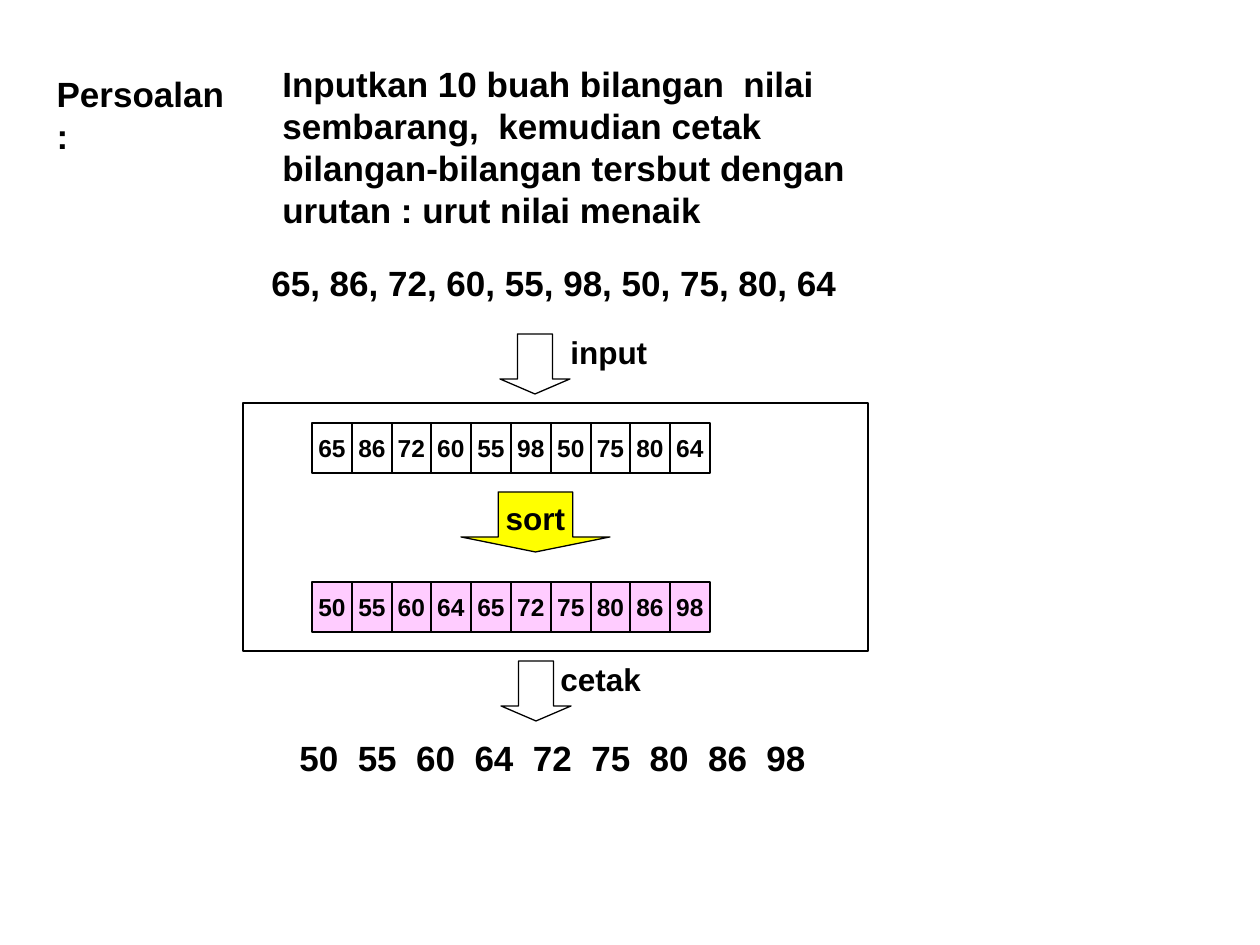
"""Build the slide that explains sorting ten numbers in ascending order."""
from dataclasses import dataclass
from typing import Optional, Sequence

from pptx import Presentation
from pptx import util as u
from pptx.dml.color import RGBColor
from pptx.enum import shapes, text

EMU_PER_PX = 914400 / 126
BLACK = RGBColor(0x00, 0x00, 0x00)
YELLOW = RGBColor(0xFF, 0xFF, 0x00)
PINK = RGBColor(0xFF, 0xCC, 0xFF)
FONT = "Arial"
RECTANGLE = shapes.MSO_SHAPE.RECTANGLE
DOWN_ARROW = shapes.MSO_SHAPE.DOWN_ARROW

NUMBERS = [65, 86, 72, 60, 55, 98, 50, 75, 80, 64]
PRINTED = "50  55  60  64  72  75  80  86  98"
PROBLEM = ("Inputkan 10 buah bilangan  nilai sembarang,  kemudian cetak "
           "bilangan-bilangan tersbut dengan urutan : urut nilai menaik")
ROW_LEFT, ROW_WIDTH, CELL_HEIGHT = 312, 398, 50


@dataclass(frozen=True)
class Box:
    left: int
    top: int
    width: int
    height: int


@dataclass(frozen=True)
class Label:
    box: Box
    wording: str
    size: int = 20
    wrap: bool = False


@dataclass(frozen=True)
class Block:
    box: Box
    kind: shapes.MSO_SHAPE
    wording: str = ""
    size: int = 14
    fill: Optional[RGBColor] = None


def px(length: float) -> u.Emu:
    return u.Emu(round(length * EMU_PER_PX))


def place(box: Box) -> list[u.Emu]:
    return [px(side) for side in (box.left, box.top, box.width, box.height)]


def write(frame, wording: str, size: int, align, anchor, wrap: bool = False) -> None:
    frame.text = wording
    frame.word_wrap = wrap
    frame.vertical_anchor = anchor
    paragraph = frame.paragraphs[0]
    paragraph.alignment = align
    font = paragraph.runs[0].font
    font.name, font.size, font.bold = FONT, u.Pt(size), True
    font.color.rgb = BLACK


def fill_label(holder, label: Label) -> None:
    holder.left, holder.top, holder.width, holder.height = place(label.box)
    write(holder.text_frame, label.wording, label.size,
          text.PP_ALIGN.LEFT, text.MSO_ANCHOR.TOP, label.wrap)
    holder.text_frame.auto_size = text.MSO_AUTO_SIZE.SHAPE_TO_FIT_TEXT


def draw_label(slide, label: Label) -> None:
    fill_label(slide.shapes.add_textbox(*place(label.box)), label)


def draw_block(slide, block: Block) -> None:
    outline = slide.shapes.add_shape(block.kind, *place(block.box))
    outline.shadow.inherit = False
    outline.line.color.rgb = BLACK
    outline.line.width = u.Pt(0.75)
    if block.kind == DOWN_ARROW:
        outline.adjustments[0], outline.adjustments[1] = 0.5, 0.25
    if block.fill is None:
        outline.fill.background()
    else:
        outline.fill.solid()
        outline.fill.fore_color.rgb = block.fill
    if block.wording:
        write(outline.text_frame, block.wording, block.size,
              text.PP_ALIGN.CENTER, text.MSO_ANCHOR.MIDDLE)


def draw_row(slide, values: Sequence[int], top: int,
             fill: Optional[RGBColor] = None) -> None:
    edges = [ROW_LEFT + round(i * ROW_WIDTH / len(values))
             for i in range(len(values) + 1)]
    for value, left, right in zip(values, edges, edges[1:]):
        box = Box(left, top, right - left, CELL_HEIGHT)
        draw_block(slide, Block(box, RECTANGLE, str(value), fill=fill))


def main() -> None:
    deck = Presentation()
    deck.slide_width, deck.slide_height = px(1260), px(945)
    slide = deck.slides.add_slide(deck.slide_layouts[5])

    fill_label(slide.shapes.title, Label(Box(44, 66, 214, 55), "Persoalan :"))
    draw_label(slide, Label(Box(270, 56, 658, 181), PROBLEM, wrap=True))
    listed = ", ".join(str(number) for number in NUMBERS)
    draw_label(slide, Label(Box(259, 255, 591, 55), listed))

    draw_block(slide, Block(Box(500, 334, 70, 60), DOWN_ARROW))
    draw_block(slide, Block(Box(243, 403, 625, 248), RECTANGLE))
    draw_block(slide, Block(Box(501, 661, 70, 60), DOWN_ARROW))
    draw_row(slide, NUMBERS, 423)
    draw_row(slide, sorted(NUMBERS), 582, PINK)

    draw_label(slide, Label(Box(558, 327, 102, 50), "input", 18))
    draw_label(slide, Label(Box(548, 654, 106, 50), "cetak", 18))
    draw_label(slide, Label(Box(287, 730, 532, 55), PRINTED))
    draw_block(slide, Block(Box(461, 492, 149, 60), DOWN_ARROW, "sort", 18, YELLOW))

    deck.save("out.pptx")


if __name__ == "__main__":
    main()
